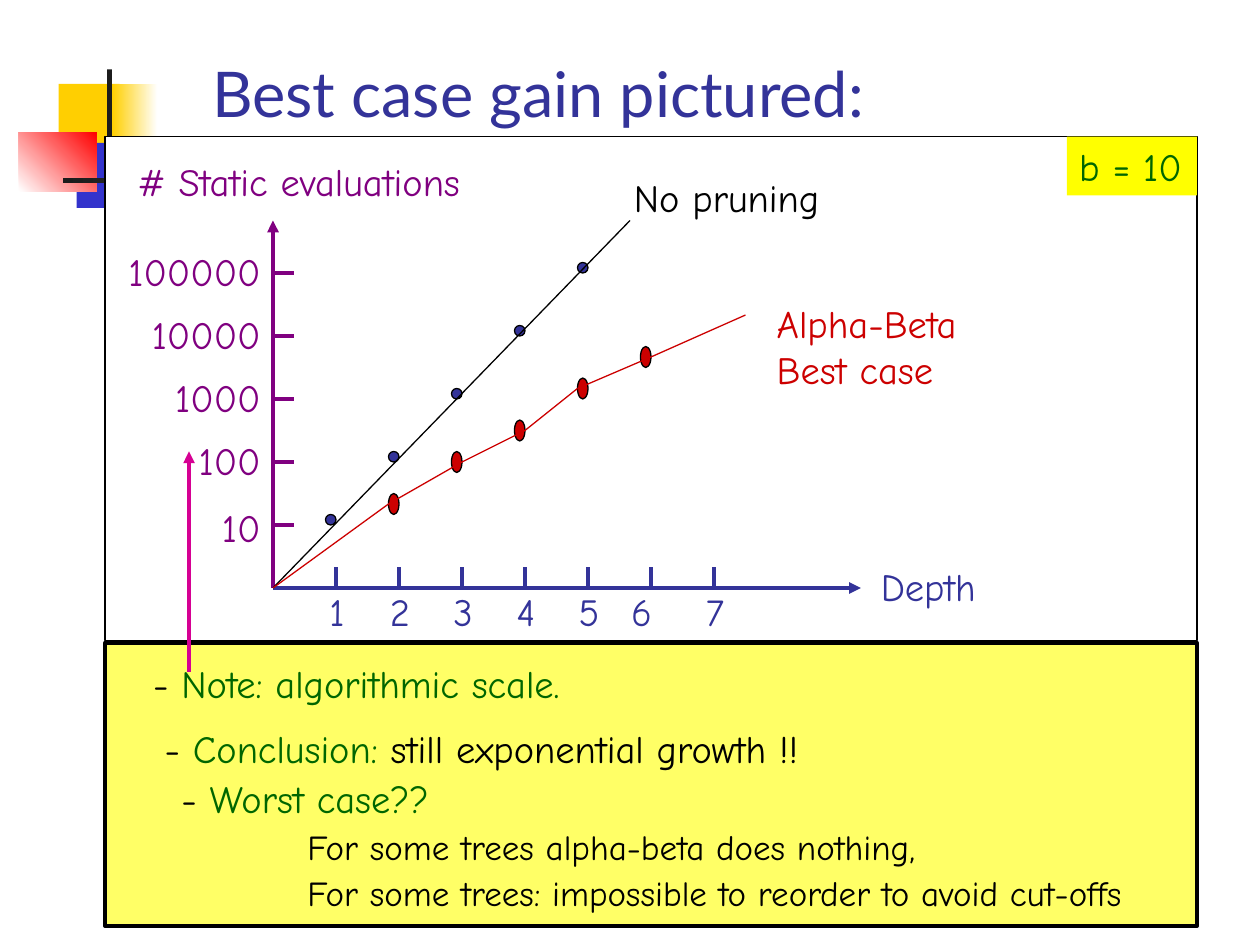
import pptx
import pptx.util
import pptx.dml.color
import pptx.enum.shapes
import pptx.enum.text
import pptx.oxml
import pptx.oxml.ns

COLORS = {
    "gold": "FFCF01", "blue": "3333CC", "bright_red": "FF0000", "charcoal": "1C1C1C",
    "white": "FFFFFF", "black": "000000", "navy": "333399", "purple": "800080",
    "red": "CC0000", "green": "006600", "yellow": "FFFF00", "pale_yellow": "FFFF66",
    "magenta": "D60093",
}
RECT = pptx.enum.shapes.MSO_SHAPE.RECTANGLE
OVAL = pptx.enum.shapes.MSO_SHAPE.OVAL
ALIGN = pptx.enum.text.PP_ALIGN
ANCHOR = pptx.enum.text.MSO_ANCHOR
AUTO_SIZE = pptx.enum.text.MSO_AUTO_SIZE

TITLE_ONLY = 5
LINE_HEIGHT = 5.6
ORIGIN_X, ORIGIN_Y, STEP, TICK = 26, 56, 6, 2


def color(name):
    return pptx.dml.color.RGBColor.from_string(COLORS[name])


def cells(*counts):
    """Turn counts of grid cells, twelve to the inch, into lengths."""
    return [pptx.util.Inches(count / 12) for count in counts]


def apply(target, formats):
    for name, value in formats.items():
        setattr(target, name, value)


class Painter:
    """Holds the style, the slide and the group that new elements join."""

    title_font = {"name": "Lato", "size": pptx.util.Pt(36)}
    body_font = {"name": "Comic Neue", "size": pptx.util.Pt(22)}
    frame = {"word_wrap": True, "auto_size": AUTO_SIZE.NONE, "vertical_anchor": ANCHOR.TOP}

    def __init__(self, deck):
        self.slide = deck.slides.add_slide(deck.slide_layouts[TITLE_ONLY])
        self.shapes = self.slide.shapes

    def start_group(self):
        self.shapes = self.slide.shapes.add_group_shape().shapes

    def end_group(self):
        self.shapes = self.slide.shapes

    def title(self, text, area):
        box = self.slide.shapes.title
        apply(box, dict(zip(("left", "top", "width", "height"), cells(*area))))
        apply(box.text_frame, {"text": text, "vertical_anchor": ANCHOR.BOTTOM,
                               "auto_size": AUTO_SIZE.NONE})
        para = box.text_frame.paragraphs[0]
        para.alignment = ALIGN.LEFT
        apply(para.font, self.title_font)
        para.font.color.rgb = color("navy")

    def shape(self, area, fill, kind=RECT, line=None, weight=0.75, fade_to=None, angle=0):
        shape = self.shapes.add_shape(kind, *cells(*area))
        shape.shadow.inherit = False
        if fade_to:
            shape.fill.gradient()
            shape.fill.gradient_angle = angle
            for stop, name in zip(shape.fill.gradient_stops, (fill, fade_to)):
                stop.color.rgb = color(name)
        else:
            shape.fill.solid()
            shape.fill.fore_color.rgb = color(fill)
        if line:
            shape.line.color.rgb = color(line)
            shape.line.width = pptx.util.Pt(weight)
        else:
            shape.line.fill.background()
        return shape

    def line(self, start, end, line, weight=2.25, arrow=False):
        connector = self.shapes.add_connector(
            pptx.enum.shapes.MSO_CONNECTOR.STRAIGHT, *cells(*start, *end))
        connector.line.color.rgb = color(line)
        connector.line.width = pptx.util.Pt(weight)
        properties = connector._element.spPr
        if arrow:
            properties.find(pptx.oxml.ns.qn("a:ln")).append(pptx.oxml.parse_xml(
                f'<a:tailEnd {pptx.oxml.ns.nsdecls("a")} type="triangle"/>'))
        properties.append(pptx.oxml.parse_xml(
            f'<a:effectLst {pptx.oxml.ns.nsdecls("a")}/>'))

    def text(self, area, *paragraphs, align=ALIGN.LEFT, fill=None):
        """Each paragraph is a list of (text, colour name) spans."""
        box = self.shape(area, fill) if fill else self.shapes.add_textbox(*cells(*area))
        apply(box.text_frame, self.frame)
        if align == ALIGN.LEFT:
            box.text_frame.margin_right = 0
        for index, spans in enumerate(paragraphs):
            para = box.text_frame.add_paragraph() if index else box.text_frame.paragraphs[0]
            para.alignment = align
            for words, name in spans:
                span = para.add_run()
                span.text = words
                apply(span.font, self.body_font)
                span.font.color.rgb = color(name)
        return box


def draw_corner(painter):
    painter.shape((5.6, 8, 5.8, 6.2), "gold")
    painter.shape((10.7, 8, 4.3, 6.2), "gold", fade_to="white")
    painter.shape((7.3, 13.6, 5.5, 6.2), "blue")
    painter.shape((1.8, 12.6, 7.4, 5.6), "white", fade_to="bright_red", angle=45)
    painter.shape((10.2, 6.6, 0.45, 13.8), "charcoal")
    painter.shape((6, 17, 108, 0.45), "charcoal", fade_to="white")


def draw_axes(painter):
    origin = (ORIGIN_X, ORIGIN_Y)
    painter.line(origin, (ORIGIN_X, 21), "purple", arrow=True)
    painter.line(origin, (82, ORIGIN_Y), "navy", arrow=True)
    for power in range(1, 6):
        y = ORIGIN_Y - STEP * power
        painter.line((ORIGIN_X, y), (ORIGIN_X + TICK, y), "purple")
        top = y - (2.6 if power == 1 else 3)
        painter.text((10, top, ORIGIN_X - 10, LINE_HEIGHT),
                     [(str(10 ** power), "purple")], align=ALIGN.RIGHT)
    for depth in range(1, 8):
        x = ORIGIN_X + STEP * depth
        painter.line((x, ORIGIN_Y - TICK), (x, ORIGIN_Y), "navy")
        center = x - 0.9 if depth == 6 else x + 0.1
        painter.text((center - 2.5, 55.4, 5, LINE_HEIGHT),
                     [(str(depth), "navy")], align=ALIGN.CENTER)
    painter.text((11.9, 14.5, 36, LINE_HEIGHT), [("# Static evaluations", "purple")])
    painter.text((82.7, 53, 14, LINE_HEIGHT), [("Depth", "navy")])


def draw_curves(painter):
    for step in range(5):
        painter.shape((31 + STEP * step, 49 - STEP * step, 1, 1), "navy", OVAL, "black")
    painter.line((ORIGIN_X, ORIGIN_Y), (60, 21), "black", 0.75)
    painter.text((59.2, 16, 24, LINE_HEIGHT), [("No pruning", "black")])
    painter.text((101.6, 13, 12.4, LINE_HEIGHT), [("b = 10", "green")], fill="yellow")

    for step, top in enumerate((47, 43, 40, 36, 33)):
        painter.shape((37 + STEP * step, top, 1, 2), "red", OVAL, "black")
    bends = [(ORIGIN_X, ORIGIN_Y), (37, 48), (44, 44), (50, 41), (55, 37), (62, 34), (71, 30)]
    for start, end in zip(bends, bends[1:]):
        painter.line(start, end, "red", 0.75)
    painter.text((72.8, 28, 24, 10), [("Alpha-Beta", "red")], [("Best case", "red")])


def draw_notes(painter):
    dash = ("- ", "black")
    painter.start_group()
    painter.shape((10, 61.2, 104, 27), "pale_yellow", line="black", weight=2.25)
    painter.text((13.4, 62.3, 44, LINE_HEIGHT),
                 [dash, ("Note: algorithmic scale.", "green")])
    painter.end_group()
    painter.text((14.5, 68.5, 66, LINE_HEIGHT),
                 [dash, ("Conclusion: ", "green"), ("still exponential growth !!", "black")])
    worst = painter.text(
        (16.1, 73.2, 95.2, 15),
        [dash, ("Worst case??", "green")],
        [("For some trees alpha-beta does nothing,", "black")],
        [("For some trees: impossible to reorder to avoid cut-offs", "black")])
    for para in worst.text_frame.paragraphs[1:]:
        para._p.get_or_add_pPr().set("marL", str(pptx.util.Inches(1)))
        para.line_spacing = 1.1
        para.runs[0].font.size = pptx.util.Pt(20)
    painter.line((18, 64), (18, 43), "magenta", arrow=True)


def main():
    deck = pptx.Presentation()
    deck.slide_width, deck.slide_height = cells(120, 90)
    painter = Painter(deck)
    draw_corner(painter)
    painter.title("Best case gain pictured:", (19, 1, 76, 12))
    painter.start_group()
    painter.shape((10, 13, 104, 48), "white", line="black")
    draw_axes(painter)
    draw_curves(painter)
    painter.end_group()
    draw_notes(painter)
    deck.save("out.pptx")


if __name__ == "__main__":
    main()
